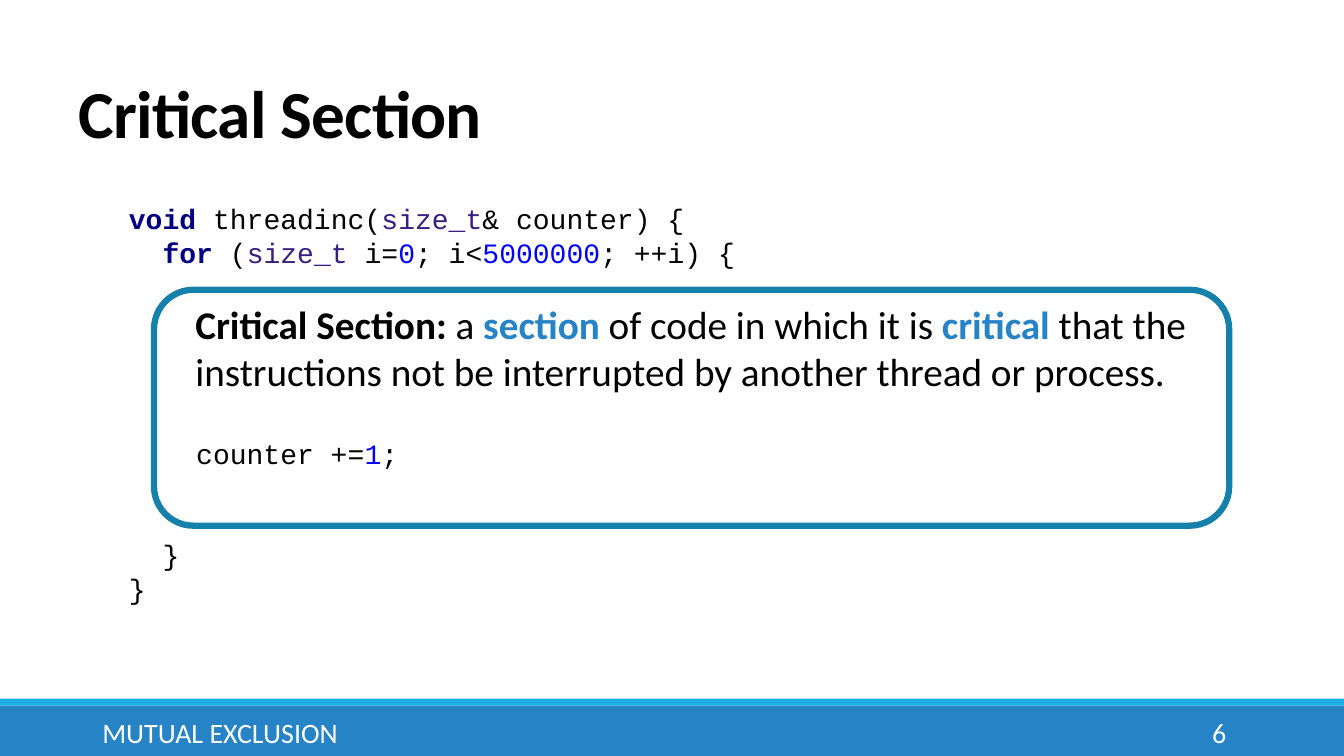
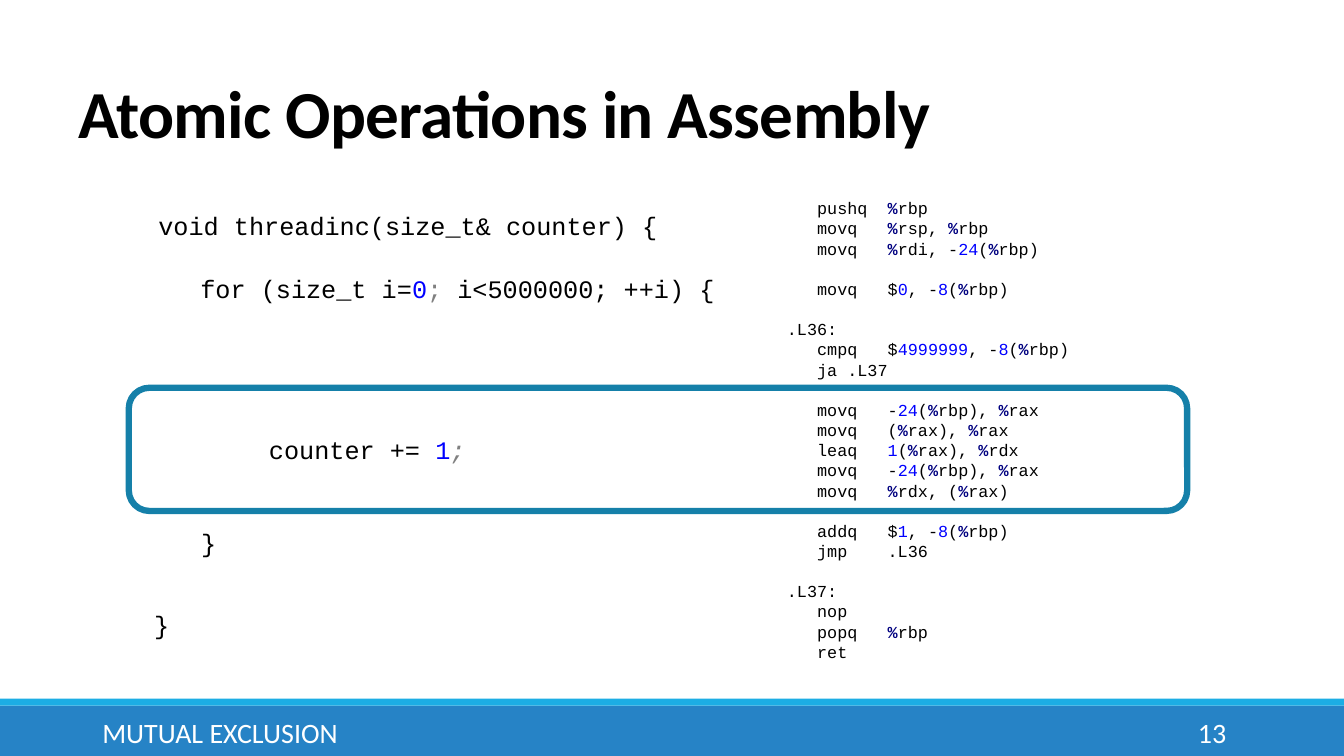
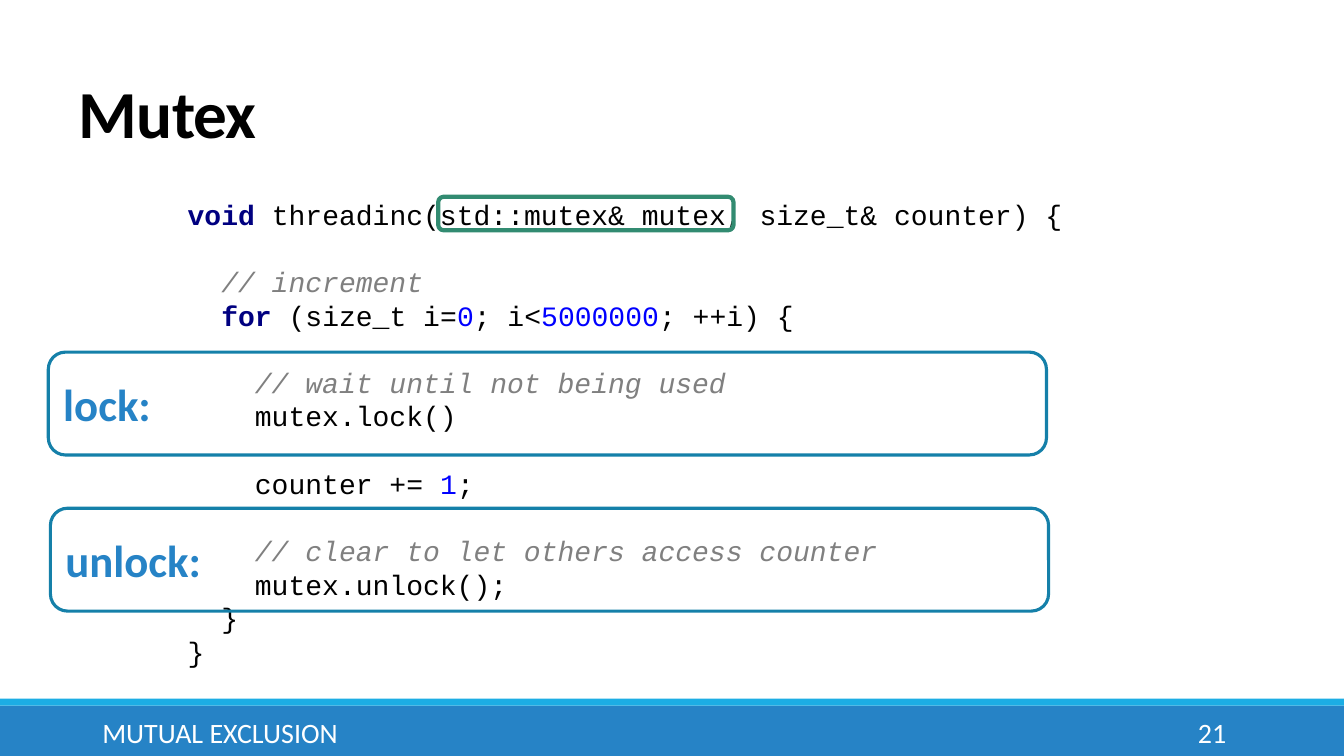
from dataclasses import dataclass
from itertools import groupby

from pptx import Presentation
from pptx.dml.color import RGBColor
from pptx.enum import shapes, text
from pptx.util import Pt

BLACK = RGBColor(0x00, 0x00, 0x00)
WHITE = RGBColor(0xFF, 0xFF, 0xFF)
BLUE = RGBColor(0x26, 0x83, 0xC6)
CYAN = RGBColor(0x1C, 0xAD, 0xE4)
TEAL = RGBColor(0x15, 0x80, 0xA9)
GREEN = RGBColor(0x32, 0x8B, 0x71)
NAVY = RGBColor(0x00, 0x00, 0x80)
PURPLE = RGBColor(0x37, 0x1F, 0x80)
NUMBER_BLUE = RGBColor(0x00, 0x00, 0xFF)
GRAY = RGBColor(0x80, 0x80, 0x80)

BODY_FONT, CODE_FONT = "Calibri", "Courier New"
SLIDE_W, SLIDE_H = 960, 540
LINE_FACTOR = 1.2   # code line height per point of text size
CHAR_FACTOR = 0.6   # code character width per point of text size
FOOTER = "MUTUAL EXCLUSION"


@dataclass(frozen=True)
class Style:
    color: RGBColor = BLACK
    bold: bool = False
    italic: bool = False


@dataclass(frozen=True)
class Box:
    left: float
    top: float
    width: float
    height: float

    def lengths(self) -> tuple:
        return Pt(self.left), Pt(self.top), Pt(self.width), Pt(self.height)


@dataclass(frozen=True)
class Frame:
    box: Box
    weight: float
    color: RGBColor = TEAL
    label: str = ""


@dataclass(frozen=True)
class Snippet:
    left: float
    top: float
    runs: list


PLAIN, STRONG = Style(), Style(bold=True)
KEYWORD = Style(NAVY, bold=True)
NUMBER = Style(NUMBER_BLUE)
COMMENT = Style(GRAY, italic=True)
ACCENT = Style(BLUE, bold=True)
LABEL = Style(WHITE)

CPP_WORDS = {"void": KEYWORD, "for": KEYWORD}
TYPED_WORDS = {**CPP_WORDS, "size_t": Style(PURPLE)}
ASM_WORDS = {"%": KEYWORD}

SECTION_CODE = """\
void threadinc(size_t& counter) {
  for (size_t i=0; i<5000000; ++i) {





    counter +=1;


  }
}"""

ASSEMBLY_CODE = """\
   pushq  %rbp
   movq   %rsp, %rbp
   movq   %rdi, -24(%rbp)

   movq   $0, -8(%rbp)

.L36:
   cmpq   $4999999, -8(%rbp)
   ja .L37

   movq   -24(%rbp), %rax
   movq   (%rax), %rax
   leaq   1(%rax), %rdx
   movq   -24(%rbp), %rax
   movq   %rdx, (%rax)

   addq   $1, -8(%rbp)
   jmp    .L36

.L37:
   nop
   popq   %rbp
   ret"""

MUTEX_CODE = """\
void threadinc(std::mutex& mutex, size_t& counter) {

  // increment
  for (size_t i=0; i<5000000; ++i) {

    // wait until not being used
    mutex.lock()

    counter += 1;

    // clear to let others access counter
    mutex.unlock();
  }
}"""

DEFINITION = [
    ("Critical Section:", STRONG), (" a ", PLAIN), ("section", ACCENT),
    (" of code in which it is ", PLAIN), ("critical", ACCENT),
    (" that the instructions not be interrupted by another thread or process.", PLAIN),
]

LOOP_SNIPPETS = [
    Snippet(106, 147, [("void threadinc(size_t& counter) {", PLAIN)]),
    Snippet(136, 191.5, [("for (size_t i=", PLAIN), ("0", NUMBER), ("; ", Style(GRAY)),
                         ("i<5000000; ++i) {", PLAIN)]),
    Snippet(185, 306.5, [("counter += ", PLAIN), ("1", NUMBER), (";", COMMENT)]),
    Snippet(136.5, 373, [("}", PLAIN)]),
    Snippet(103, 431.5, [("}", PLAIN)]),
]


def format_run(r, style: Style, size: float, font: str) -> None:
    r.font.name, r.font.size = font, Pt(size)
    r.font.bold, r.font.italic = style.bold, style.italic
    r.font.color.rgb = style.color


def add_runs(p, runs: list, size: float, font: str) -> None:
    for content, style in runs:
        r = p.add_run()
        r.text = content
        format_run(r, style, size, font)


def add_text(s, box: Box, runs: list, size: float, font: str = BODY_FONT,
             anchor=text.MSO_ANCHOR.TOP, align=text.PP_ALIGN.LEFT, wrap: bool = True):
    tf = s.shapes.add_textbox(*box.lengths()).text_frame
    tf.word_wrap, tf.vertical_anchor = wrap, anchor
    p = tf.paragraphs[0]
    p.alignment = align
    add_runs(p, runs, size, font)
    return tf


def token_kind(char: str) -> str:
    if char.isalnum() or char == "_":
        return "word"
    return char if char == "%" else "other"


def highlight(line: str, words: dict) -> list:
    """Split a code line into styled runs."""
    if line.lstrip().startswith("//"):
        return [(line, COMMENT)]
    tokens = ["".join(chars) for _, chars in groupby(line, token_kind)]
    styled = [(t, NUMBER if t.isdigit() else words.get(t, PLAIN)) for t in tokens]
    return [("".join(t for t, _ in same), style)
            for style, same in groupby(styled, lambda pair: pair[1])]


def add_code(s, box: Box, code: str, size: float, words: dict) -> None:
    """One paragraph a line; blank lines become space before the next one."""
    tf = add_text(s, box, [], size, CODE_FONT, text.MSO_ANCHOR.MIDDLE)
    p, gap, pitch = tf.paragraphs[0], 0, size * LINE_FACTOR
    for i, line in enumerate(code.split("\n")):
        if not line:
            gap += pitch
            continue
        if i:
            p = tf.add_paragraph()
            p.space_before = Pt(gap)
        p.line_spacing = Pt(pitch)
        add_runs(p, highlight(line, words), size, CODE_FONT)
        gap = 0


def add_snippet(s, snippet: Snippet, size: float = 18) -> None:
    length = sum(len(content) for content, _ in snippet.runs)
    box = Box(snippet.left, snippet.top, length * size * CHAR_FACTOR + 14.4, 29)
    add_text(s, box, snippet.runs, size, CODE_FONT, wrap=False)


def add_frame(s, frame: Frame) -> None:
    sp = s.shapes.add_shape(shapes.MSO_SHAPE.ROUNDED_RECTANGLE, *frame.box.lengths())
    sp.shadow.inherit = False
    sp.fill.background()
    sp.line.color.rgb, sp.line.width = frame.color, Pt(frame.weight)
    if frame.label:
        tf = sp.text_frame
        tf.text = frame.label
        tf.vertical_anchor = text.MSO_ANCHOR.MIDDLE
        p = tf.paragraphs[0]
        p.alignment = text.PP_ALIGN.LEFT
        format_run(p.runs[0], ACCENT, 32, BODY_FONT)


def add_band(s, box: Box, color: RGBColor) -> None:
    sp = s.shapes.add_shape(shapes.MSO_SHAPE.RECTANGLE, *box.lengths())
    sp.shadow.inherit = False
    sp.fill.solid()
    sp.fill.fore_color.rgb = color
    sp.line.fill.background()


def add_slide(prs, title: str, number: int):
    """Title, footer bands, footer text and slide number."""
    s = prs.slides.add_slide(prs.slide_layouts[5])
    add_band(s, Box(0, 504, SLIDE_W, 36), BLUE)
    add_band(s, Box(0, 499, SLIDE_W, 5), CYAN)

    sp = s.shapes.title
    sp.left, sp.top, sp.width, sp.height = Box(49, 51, 845, 61).lengths()
    tf = sp.text_frame
    tf.text = title
    tf.word_wrap, tf.auto_size = True, text.MSO_AUTO_SIZE.NONE
    tf.vertical_anchor = text.MSO_ANCHOR.BOTTOM
    p = tf.paragraphs[0]
    p.alignment, p.line_spacing = text.PP_ALIGN.LEFT, 0.85
    format_run(p.runs[0], STRONG, 48, BODY_FONT)
    p.runs[0].font._element.set("spc", "-50")

    middle = text.MSO_ANCHOR.MIDDLE
    add_text(s, Box(66, 508.5, 604, 29), [(FOOTER, LABEL)], 20, anchor=middle)
    add_text(s, Box(780, 508.5, 103, 29), [(str(number), LABEL)], 20,
             anchor=middle, align=text.PP_ALIGN.RIGHT)
    return s


def main() -> None:
    prs = Presentation()
    prs.slide_width, prs.slide_height = Pt(SLIDE_W), Pt(SLIDE_H)

    # Critical section
    s = add_slide(prs, "Critical Section", 6)
    add_code(s, Box(85, 139, 616, 298), SECTION_CODE, 20, TYPED_WORDS)
    add_frame(s, Frame(Box(110, 207, 768, 168.5), 4.5))
    add_text(s, Box(132.5, 211, 745, 75), DEFINITION, 28)

    # Assembly beside the loop
    s = add_slide(prs, "Atomic Operations in Assembly", 13)
    add_code(s, Box(555, 136, 239, 342), ASSEMBLY_CODE, 12, ASM_WORDS)
    for snippet in LOOP_SNIPPETS:
        add_snippet(s, snippet)
    add_frame(s, Frame(Box(92, 277, 756, 88), 4.5))

    # Mutex
    s = add_slide(prs, "Mutex", 21)
    add_code(s, Box(127, 136, 803, 346), MUTEX_CODE, 20, CPP_WORDS)
    for frame in (
        Frame(Box(34.5, 251.5, 713, 73.5), 2.25, label="lock:"),
        Frame(Box(36, 363, 713, 73.5), 2.25, label="unlock:"),
        Frame(Box(313, 140.5, 211, 24), 3, GREEN),
    ):
        add_frame(s, frame)

    prs.save("out.pptx")


if __name__ == "__main__":
    main()
